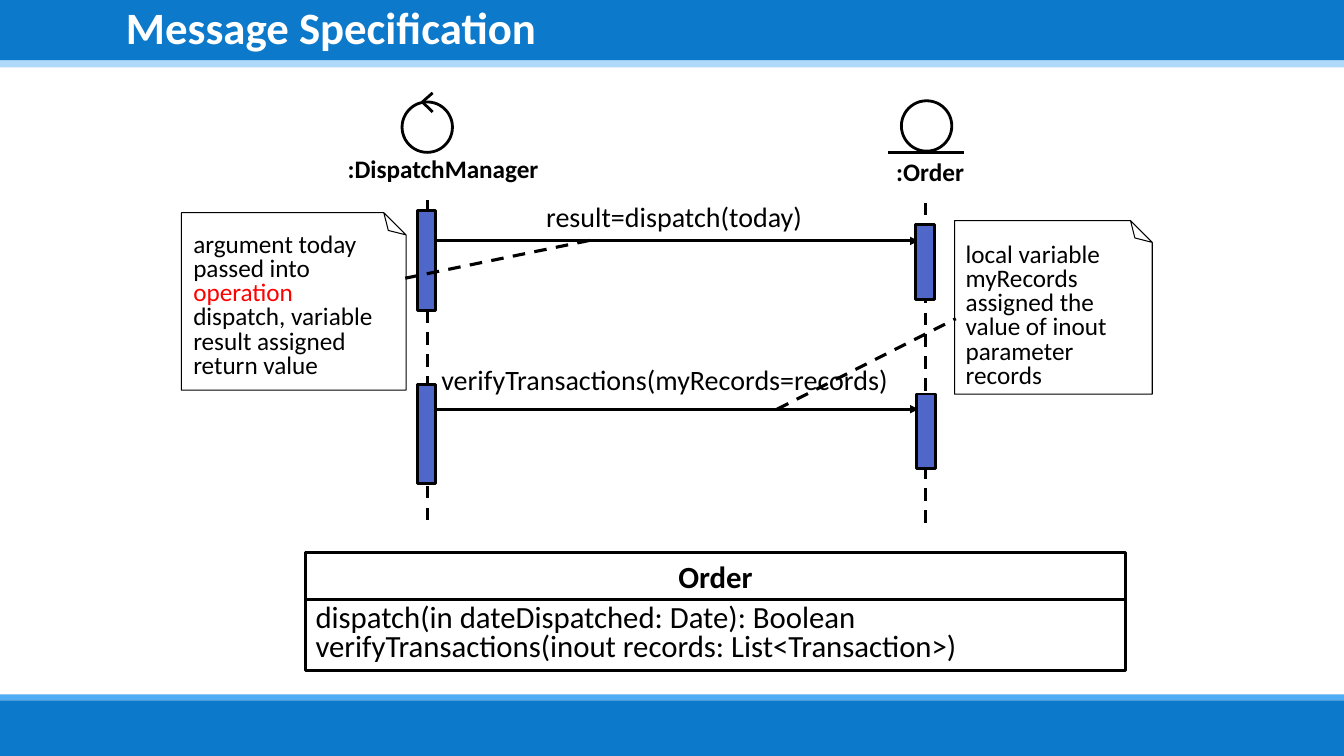
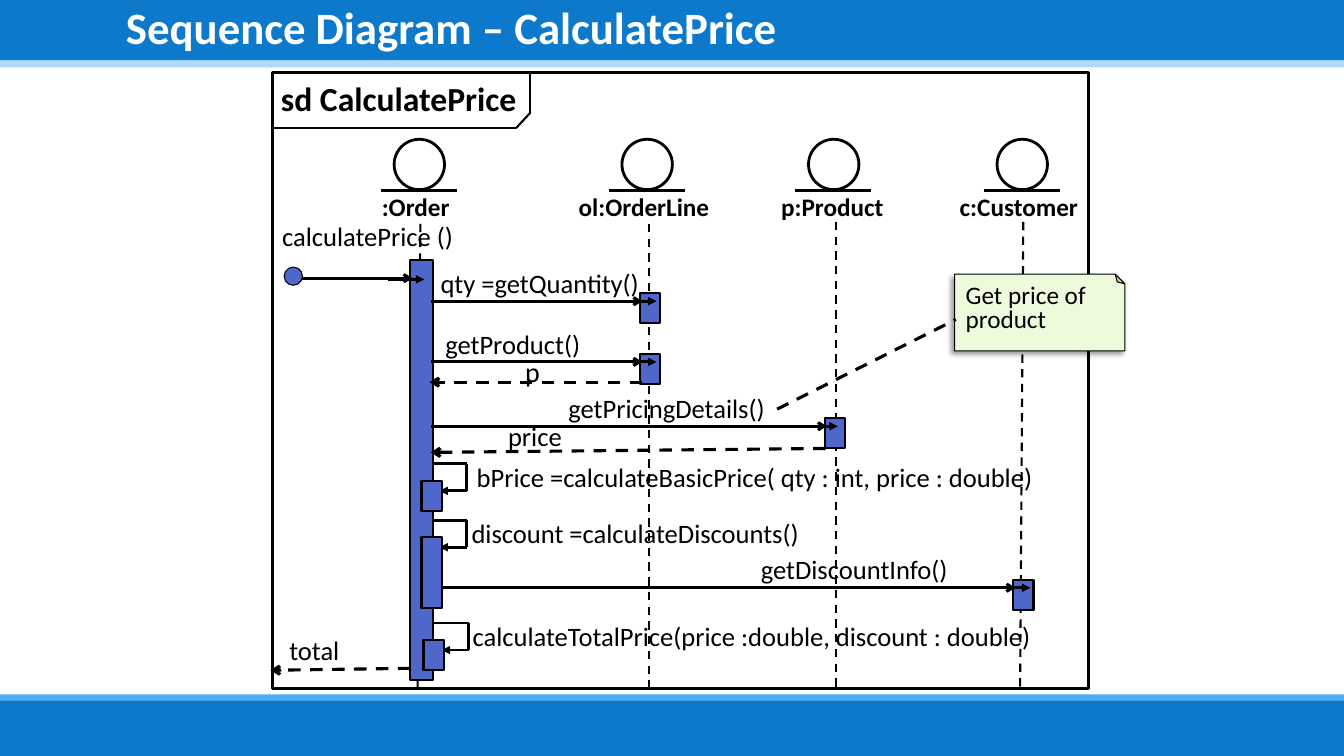
from itertools import pairwise

from lxml import etree
from pptx import Presentation
from pptx.dml.color import RGBColor
from pptx.enum.dml import MSO_LINE
from pptx.enum.shapes import MSO_CONNECTOR, MSO_SHAPE
from pptx.enum.text import MSO_ANCHOR, PP_ALIGN
from pptx.oxml import parse_xml
from pptx.oxml.ns import nsdecls, qn
from pptx.util import Cm, Pt

BLUE = RGBColor(0x0D, 0x79, 0xCA)
SKY = RGBColor(0x4F, 0xAD, 0xF3)
PALE_BLUE = RGBColor(0x8C, 0xC9, 0xF7)
BAR_BLUE = RGBColor(0x4E, 0x67, 0xC8)
NOTE_GREEN = RGBColor(0xED, 0xFB, 0xDC)
BLACK = RGBColor(0, 0, 0)
WHITE = RGBColor(0xFF, 0xFF, 0xFF)
RED = RGBColor(0xFF, 0, 0)
FONT = "Calibri"

RECT, OVAL = MSO_SHAPE.RECTANGLE, MSO_SHAPE.OVAL
NOTE, DOT = MSO_SHAPE.FOLDED_CORNER, MSO_SHAPE.FLOWCHART_CONNECTOR
STRAIGHT, DASH = MSO_CONNECTOR.STRAIGHT, MSO_LINE.DASH
LEFT, CENTER = PP_ALIGN.LEFT, PP_ALIGN.CENTER
TOP, MIDDLE = MSO_ANCHOR.TOP, MSO_ANCHOR.MIDDLE

# All positions below are in inches: left, top, width, height.
BANDS = [
    ((0, 0, 13.33, 0.67), PALE_BLUE),
    ((0, 0, 13.33, 0.6), BLUE),
    ((-0.01, 6.89, 13.35, 0.06), SKY),
    ((0, 6.95, 13.33, 0.55), BLUE),
]
TITLE_BOX = (1.15, 0, 11.02, 0.6)

# Message Specification
MESSAGES = [  # label, label box, arrow y, receiver bar
    ("verifyTransactions(myRecords=records)", (4.28, 3.55, 5.31, 0.44),
     4.06, (9.09, 3.91, 0.19, 0.74)),
    ("result=dispatch(today)", (5.32, 1.93, 4.24, 0.44),
     2.39, (9.08, 2.23, 0.19, 0.74)),
]
SENDER_BAR_TOPS = [2.09, 3.81]
NOTES = [  # note, text box, runs, pointer
    ((1.8, 2.11, 2.23, 1.76), (1.82, 2.27, 2.12, 1.56),
     [("argument today passed into ", BLACK), ("operation", RED),
      (" dispatch, variable result assigned return value", BLACK)],
     [(4.02, 2.76), (5.92, 2.37)]),
    ((9.47, 2.19, 1.96, 1.72), (9.48, 2.37, 1.95, 1.56),
     [("local variable myRecords assigned the value of inout parameter "
       "records", BLACK)],
     [(7.71, 4.06), (9.48, 3.16)]),
]
ORDER_CLASS = [  # box, lines, alignment, bold, line spacing
    ((3.03, 5.48, 8.13, 0.47), ["Order"], CENTER, True, None),
    ((3.03, 5.95, 8.13, 0.7),
     ["dispatch(in dateDispatched: Date): Boolean",
      "verifyTransactions(inout records: List<Transaction>)"],
     LEFT, False, 0.8),
]

# Sequence Diagram
FRAME = (2.7, 0.72, 8.1, 6.11)
FRAME_TAB = [(2.7, 1.27), (5.12, 1.27), (5.26, 1.12), (5.26, 0.71)]
PARTICIPANTS = [  # name, centre, label left, label width, lifeline
    (":Order", 4.16, 3.69, 1.07, [(4.17, 2.22), (4.14, 6.83)]),
    ("ol:OrderLine", 6.42, 5.64, 1.6, [(6.44, 2.22), (6.44, 6.83)]),
    ("p:Product", 8.27, 7.65, 1.7, [(8.29, 2.2), (8.29, 6.82)]),
    ("c:Customer", 10.14, 9.42, 1.55, [(10.15, 2.2), (10.12, 6.82)]),
]
CALLS = [  # label, label left, label width, y, start, bar left, arrow tip
    ("qty =getQuantity()", 4.27, 2.5, 2.99, 4.28, 6.35, 6.51),
    ("getProduct()", 4.32, 1.97, 3.59, 4.28, 6.35, 6.51),
    ("getPricingDetails()", 5.54, 2.49, 4.23, 4.28, 8.18, 8.31),
    ("getDiscountInfo()", 7.45, 2.55, 5.83, 4.36, 10.05, 10.22),
]
SELF_CALLS = [  # label, label left, label width, top, bar left, bar height
    ("bPrice =calculateBasicPrice( qty : int, price : double)",
     4.63, 6.06, 4.6, 4.18, 0.3),
    ("discount =calculateDiscounts()", 4.58, 4.07, 5.16, 4.18, 0.7),
    ("calculateTotalPrice(price :double, discount : double)",
     4.59, 6.16, 6.18, 4.2, 0.3),
]
RETURNS = [  # label, label box, size, arrow
    ("total", (2.77, 6.24, 1.5, 0.44), 19, [(4.07, 6.63), (2.68, 6.65)]),
    ("price", (4.94, 4.12, 2.48, 0.44), 19, [(8.19, 4.45), (4.27, 4.49)]),
    ("p", (5.11, 3.47, 2.48, 0.44), 20, [(6.37, 3.79), (4.26, 3.79)]),
]
PRICE_NOTE = ((9.47, 2.72, 1.69, 0.76), (9.48, 2.78, 2.18, 0.59),
              [("Get price of product", BLACK)],
              [(7.71, 4.06), (9.48, 3.17)])


def cm(inches):
    return Cm(round(inches * 2.54, 2))


def lengths(values):
    return [cm(v) for v in values]


def add_run(p, text, size, color=BLACK, bold=False):
    r = p.add_run()
    r.text = text
    r.font.name, r.font.size, r.font.bold = FONT, Pt(size), bold
    r.font.color.rgb = color


def write(sp, paragraphs, size, bold=False, align=LEFT, spacing=None):
    """Fill a shape with paragraphs, each a list of (text, colour) runs."""
    tf = sp.text_frame
    tf.word_wrap, tf.vertical_anchor = True, TOP
    for i, runs in enumerate(paragraphs):
        p = tf.add_paragraph() if i else tf.paragraphs[0]
        p.alignment, p.line_spacing = align, spacing
        for text, color in runs:
            add_run(p, text, size, color, bold)


def add_label(s, box, text, size=19, **style):
    write(s.shapes.add_textbox(*lengths(box)), [[(text, BLACK)]], size, **style)


def add_box(s, box, kind=RECT, fill=None, line=2):
    sp = s.shapes.add_shape(kind, *lengths(box))
    sp.shadow.inherit = False
    if fill is None:
        sp.fill.background()
    else:
        sp.fill.solid()
        sp.fill.fore_color.rgb = fill
    if line:
        sp.line.color.rgb, sp.line.width = BLACK, Pt(line)
    else:
        sp.line.fill.background()
    return sp


def add_path(s, points, width=2, dash=False, head=None):
    """Join points with straight lines; the last one may carry an arrowhead."""
    for start, end in pairwise(points):
        c = s.shapes.add_connector(STRAIGHT, *lengths(start + end))
        c.line.color.rgb, c.line.width = BLACK, Pt(width)
        if dash:
            c.line.dash_style = DASH
        sp_pr = c.element.spPr
        if head and end == points[-1]:
            etree.SubElement(sp_pr.find(qn("a:ln")), qn("a:tailEnd"), type=head)
        etree.SubElement(sp_pr, qn("a:effectLst"))


def add_entity(s, name, center, top, label_box):
    add_box(s, (center - 0.25, top, 0.5, 0.5), OVAL)
    add_path(s, [(center - 0.38, top + 0.51), (center + 0.37, top + 0.51)])
    add_label(s, label_box, name, 18, bold=True)


def add_note(s, box, text_box, runs, pointer, fill=None, shadow=False):
    sp = add_box(s, box, NOTE, fill, 0.75)
    sp_pr = sp.element.spPr
    guides = sp_pr.find(qn("a:prstGeom")).find(qn("a:avLst"))
    etree.SubElement(guides, qn("a:gd"), name="adj", fmla="val 12500")
    sp.rotation = 180
    sp_pr.find(qn("a:xfrm")).set("flipH", "1")
    if shadow:
        sp_pr.find(qn("a:effectLst")).append(parse_xml(
            f'<a:outerShdw {nsdecls("a")} blurRad="50800" dist="38100" '
            'dir="8100000" rotWithShape="0"><a:srgbClr val="000000">'
            '<a:alpha val="40000"/></a:srgbClr></a:outerShdw>'))
    write(s.shapes.add_textbox(*lengths(text_box)), [runs], 18, spacing=0.8)
    add_path(s, pointer, 2.25, dash=True)


def style_layout(layout, s):
    """Draw the bands on a slide, then move them behind the layout's title."""
    for i, (box, color) in enumerate(BANDS):
        sp = add_box(s, box, fill=color, line=None)
        if color == PALE_BLUE:
            clr = sp.element.spPr.find(qn("a:solidFill"))[0]
            etree.SubElement(clr, qn("a:alpha"), val="70000")
        layout.shapes.element.insert(2 + i, sp.element)
    for ph in list(layout.placeholders):
        if ph.placeholder_format.idx:
            ph.element.getparent().remove(ph.element)
    title = layout.placeholders[0]
    title.left, title.top, title.width, title.height = lengths(TITLE_BOX)
    title.text_frame.vertical_anchor = MIDDLE


def set_title(s, text):
    p = s.shapes.title.text_frame.paragraphs[0]
    p.alignment, p.line_spacing = LEFT, 0.9
    add_run(p, text, 32, WHITE, True)


def build_message_specification(s):
    set_title(s, "Message Specification")
    for box, lines, align, bold, spacing in ORDER_CLASS:
        write(add_box(s, box), [[(line, BLACK)] for line in lines], 22,
              bold, align, spacing)
    add_entity(s, ":Order", 9.19, 1, (8.79, 1.5, 0.92, 0.4))
    add_path(s, [(9.18, 2.01), (9.18, 5.21)], 2.25, dash=True)
    add_box(s, (3.99, 1.01, 0.5, 0.5), OVAL)
    add_path(s, [(4.29, 0.92), (4.19, 1.01), (4.29, 1.11)])
    add_label(s, (3.29, 1.47, 2.21, 0.4), ":DispatchManager", 18,
              bold=True, align=CENTER)
    add_path(s, [(4.24, 1.99), (4.24, 5.19)], 2.25, dash=True)
    for top in SENDER_BAR_TOPS:
        add_box(s, (4.14, top, 0.18, 0.99), fill=BAR_BLUE)
    for text, label_box, y, bar in MESSAGES:
        add_label(s, label_box, text, 20)
        add_path(s, [(4.31, y), (9.11, y)], head="triangle")
        add_box(s, bar, fill=BAR_BLUE)
    for note in NOTES:
        add_note(s, *note)


def build_sequence_diagram(s):
    set_title(s, "Sequence Diagram – CalculatePrice")
    add_box(s, FRAME)
    add_label(s, (2.69, 0.72, 2.75, 0.51), "sd CalculatePrice", 24, bold=True)
    add_path(s, FRAME_TAB, 1.5)
    for name, center, left, width, lifeline in PARTICIPANTS:
        add_path(s, lifeline, 1.5, dash=True)
        add_entity(s, name, center, 1.38, (left, 1.85, width, 0.4))

    add_box(s, (4.07, 2.58, 0.22, 4.17), fill=BAR_BLUE, line=1.5)
    add_label(s, (2.7, 2.2, 2.06, 0.36), "calculatePrice ()", spacing=Pt(18))
    add_path(s, [(2.92, 2.76), (4.09, 2.76)], head="arrow")
    add_path(s, [(3.85, 2.77), (4.21, 2.77)], head="triangle")
    add_box(s, (2.82, 2.65, 0.18, 0.18), DOT, BAR_BLUE, 0.75)

    for text, left, width, y, start, bar_left, tip in CALLS:
        add_label(s, (left, y - 0.39, width, 0.42), text)
        add_path(s, [(start, y), (bar_left + 0.02, y)], head="arrow")
        add_box(s, (bar_left, y - 0.08, 0.2, 0.3), fill=BAR_BLUE, line=1.5)
        add_path(s, [(tip - 0.36, y), (tip, y)], head="triangle")
    for text, left, width, top, bar_left, bar_height in SELF_CALLS:
        bottom, turn = top + 0.27, bar_left + 0.45
        add_path(s, [(4.29, top), (turn, top), (turn, bottom),
                     (bar_left + 0.18, bottom)], head="triangle")
        add_label(s, (left, top - 0.08, width, 0.42), text)
        add_box(s, (bar_left, top + 0.17, 0.2, bar_height),
                fill=BAR_BLUE, line=1.5)
    for text, box, size, arrow in RETURNS:
        add_path(s, arrow, 2.25, dash=True, head="arrow")
        add_label(s, box, text, size)
    add_note(s, *PRICE_NOTE, fill=NOTE_GREEN, shadow=True)


def main():
    prs = Presentation()
    prs.slide_width, prs.slide_height = cm(13.33), cm(7.5)
    layout = prs.slide_layouts.get_by_name("Title Only")
    slides = [prs.slides.add_slide(layout) for _ in range(2)]
    style_layout(layout, slides[0])
    build_message_specification(slides[0])
    build_sequence_diagram(slides[1])
    prs.save("out.pptx")


if __name__ == "__main__":
    main()
